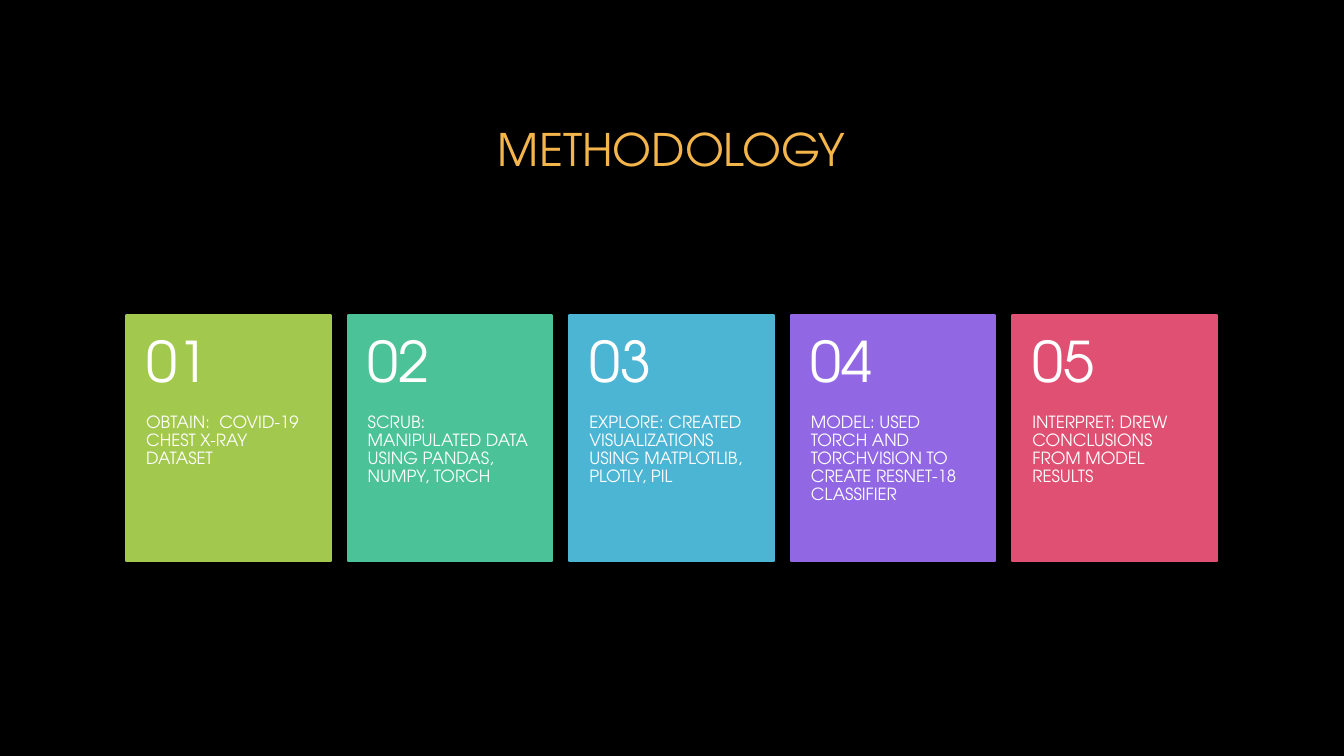
from pptx import Presentation
from pptx.dml.color import RGBColor
from pptx.enum.shapes import MSO_SHAPE
from pptx.enum.text import MSO_ANCHOR as ANCHOR, MSO_AUTO_SIZE as AUTO, PP_ALIGN as ALIGN
from pptx.util import Inches, Pt

FONT = "TeX Gyre Adventor"
COLORS = {
    "background": "000000", "title": "F4B54B", "text": "FFFFFF",
    "lime": "A2C84E", "green": "4BC298", "blue": "4CB5D3",
    "purple": "9167E3", "red": "E05073",
}
STEPS = [
    ("lime", "OBTAIN:  COVID-19 CHEST X-RAY DATASET"),
    ("green", "SCRUB: MANIPULATED DATA USING PANDAS, NUMPY, TORCH"),
    ("blue", "EXPLORE: CREATED VISUALIZATIONS USING MATPLOTLIB, PLOTLY, PIL"),
    ("purple", "MODEL: USED TORCH AND TORCHVISION TO CREATE RESNET-18 CLASSIFIER"),
    ("red", "INTERPRET: DREW CONCLUSIONS FROM MODEL RESULTS"),
]
LEFT, WIDTH = 1.25, 10.82
CARD_TOP, CARD_W, CARD_H = 3.13, 2.03, 2.44
PITCH = (WIDTH - CARD_W) / (len(STEPS) - 1)
NUMBER_H = CARD_H * 0.4


def rgb(name):
    return RGBColor.from_string(COLORS[name])


def box(left, top, width, height):
    return [Inches(v) for v in (left, top, width, height)]


def write(tf, text, size, color, anchor):
    tf.word_wrap = True
    tf.auto_size = AUTO.NONE
    tf.vertical_anchor = anchor
    p = tf.paragraphs[0]
    p.text = text
    p.space_before = Pt(0)
    p.font.name = FONT
    p.font.size = Pt(size)
    p.font.color.rgb = rgb(color)
    return p


def add_title(s, text):
    title = s.shapes.title
    title.left, title.top, title.width, title.height = box(LEFT, 0.67, WIDTH, 1.61)
    p = write(title.text_frame, text, 32, "title", ANCHOR.MIDDLE)
    p.alignment = ALIGN.CENTER


def add_label(shapes, frame, text, size, anchor, margin_top, margin_bottom):
    tf = shapes.add_textbox(*frame).text_frame
    tf.margin_left = tf.margin_right = Inches(0.2)
    tf.margin_top, tf.margin_bottom = Inches(margin_top), Inches(margin_bottom)
    p = write(tf, text, size, "text", anchor)
    p.line_spacing = 0.9


def add_card(s, index, color, text):
    left = LEFT + index * PITCH
    shapes = s.shapes.add_group_shape().shapes
    sp = shapes.add_shape(MSO_SHAPE.RECTANGLE, *box(left, CARD_TOP, CARD_W, CARD_H))
    sp.shadow.inherit = False
    sp.fill.solid()
    sp.fill.fore_color.rgb = rgb(color)
    sp.line.color.rgb = rgb(color)
    sp.line.width = Pt(1.5)
    add_label(shapes, box(left, CARD_TOP + NUMBER_H, CARD_W, CARD_H - NUMBER_H),
              text, 12, ANCHOR.TOP, 0, 0.36)
    add_label(shapes, box(left, CARD_TOP, CARD_W, NUMBER_H),
              f"{index + 1:02d}", 40, ANCHOR.MIDDLE, 0.18, 0.18)


def main():
    prs = Presentation()
    prs.slide_width, prs.slide_height = Inches(13.33), Inches(7.5)
    s = prs.slides.add_slide(prs.slide_layouts[5])
    s.background.fill.solid()
    s.background.fill.fore_color.rgb = rgb("background")
    add_title(s, "METHODOLOGY")
    for index, (color, text) in enumerate(STEPS):
        add_card(s, index, color, text)
    prs.save("out.pptx")


if __name__ == "__main__":
    main()
